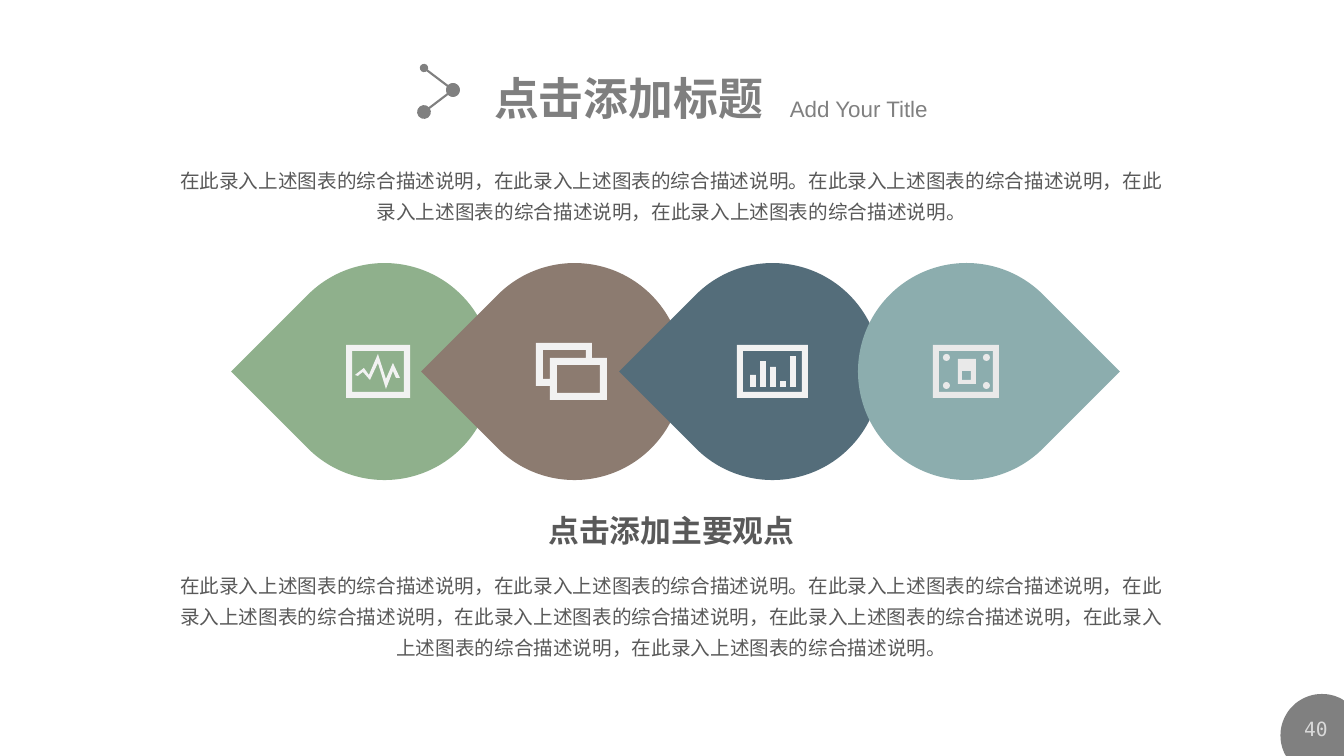
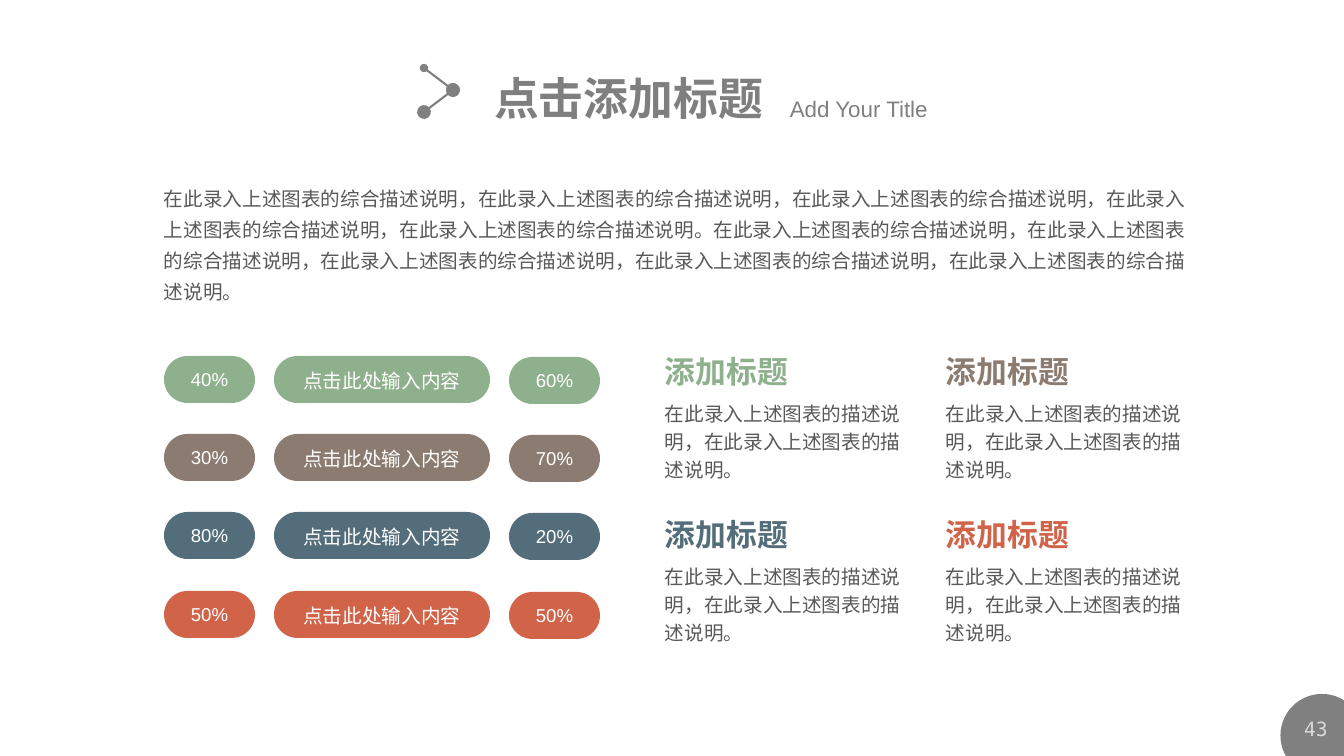
import dataclasses
import itertools
import math

import lxml.etree
import pptx
import pptx.dml.color
import pptx.enum.shapes
import pptx.enum.text
import pptx.oxml.ns
import pptx.util

SCALE = 914400 / 100.8
WIDE, HIGH = 1344, 756
GREEN, BROWN, NAVY, TEAL, RED = "8FB08C", "8C7B70", "546D7A", "8CADAE", "D16349"
GREY, DARK, WHITE, PALE, MIST = "808080", "595959", "FFFFFF", "F2F2F2", "E9E9E9"
HAN = "Noto Sans CJK SC"
PHRASE = "在此录入上述图表的综合描述说明"
BRIEF = "在此录入上述图表的描述说明，在此录入上述图表的描述说明。"

SHAPE = pptx.enum.shapes.MSO_SHAPE
ALIGN = pptx.enum.text.PP_ALIGN
ANCHOR = pptx.enum.text.MSO_ANCHOR
Slide = pptx.slide.Slide
Shape = pptx.shapes.autoshape.Shape
Points = list[tuple[float, float]]


@dataclasses.dataclass(frozen=True)
class Box:
    left: int
    top: int
    width: int
    height: int

    def emu(self) -> list[int]:
        return [px(side) for side in dataclasses.astuple(self)]

    def ring(self) -> Points:
        right, base = self.left + self.width, self.top + self.height
        return [(self.left, self.top), (self.left, base), (right, base), (right, self.top)]


@dataclasses.dataclass(frozen=True)
class Style:
    """Text look; lead is the line pitch in points, or 0 for the font's own."""
    size: float
    color: str
    font: str = HAN
    bold: bool = False
    lead: int = 0
    align: ALIGN = ALIGN.LEFT


@dataclasses.dataclass(frozen=True)
class Drop:
    left: int
    color: str
    turn: int = 225


@dataclasses.dataclass(frozen=True)
class Row:
    color: str
    first: str
    last: str


HEAD = Style(32, "7F7F7F", "Arial", True, 41)
SUB = Style(16, GREY, "Arial")
PAGE = Style(14, "D9D9D9", "DejaVu Sans Mono", align=ALIGN.CENTER)
BODY = Style(14, DARK, lead=22)
MID = dataclasses.replace(BODY, align=ALIGN.CENTER)
NOTE = dataclasses.replace(BODY, lead=20)
POINT = Style(22, DARK, bold=True, lead=28, align=ALIGN.CENTER)
LABEL = Style(14, WHITE, lead=18, align=ALIGN.CENTER)
SHARE = Style(13.3, WHITE, "Arial", align=ALIGN.CENTER)

DROPS = [Drop(276, GREEN), Drop(466, BROWN), Drop(664, NAVY), Drop(858, TEAL, 45)]
ROWS = [Row(GREEN, "40%", "60%"), Row(BROWN, "30%", "70%"),
        Row(NAVY, "80%", "20%"), Row(RED, "50%", "50%")]


def px(length: float) -> int:
    return round(length * SCALE)


def rgb(code: str) -> pptx.dml.color.RGBColor:
    return pptx.dml.color.RGBColor.from_string(code)


def prose(*counts: int) -> str:
    """Sentences made of the given numbers of phrases."""
    return "".join("，".join([PHRASE] * count) + "。" for count in counts)


def write(shape: Shape, text: str, style: Style, anchor: ANCHOR = ANCHOR.TOP,
          wrap: bool = True) -> None:
    frame = shape.text_frame
    frame.word_wrap = wrap
    frame.auto_size = pptx.enum.text.MSO_AUTO_SIZE.NONE
    frame.vertical_anchor = anchor
    para = frame.paragraphs[0]
    para.text = text
    para.alignment = style.align
    if style.lead:
        para.line_spacing = pptx.util.Pt(style.lead)
    font = para.font
    font.size = pptx.util.Pt(style.size)
    font.bold = style.bold
    font.color.rgb = rgb(style.color)
    font.name = style.font
    name = pptx.oxml.ns.qn
    props = para._p.pPr.find(name("a:defRPr"))
    lxml.etree.SubElement(props, name("a:ea"), typeface=HAN)


def label(slide: Slide, box: Box, text: str, style: Style, wrap: bool = True) -> None:
    write(slide.shapes.add_textbox(*box.emu()), text, style, wrap=wrap)


def paint(shape: Shape, color: str) -> Shape:
    shape.shadow.inherit = False
    shape.fill.solid()
    shape.fill.fore_color.rgb = rgb(color)
    shape.line.fill.background()
    return shape


def solid(slide: Slide, kind: SHAPE, box: Box, color: str) -> Shape:
    return paint(slide.shapes.add_shape(kind, *box.emu()), color)


def poly(slide: Slide, color: str, *rings: Points) -> None:
    """One outline; rings after the first are holes."""
    fine = [[(round(x * 10), round(y * 10)) for x, y in ring] for ring in rings]
    pen = slide.shapes.build_freeform(*fine[0][0], scale=SCALE / 10)
    pen.add_line_segments(fine[0][1:])
    for hole in fine[1:]:
        pen.move_to(*hole[0])
        pen.add_line_segments(hole[1:])
    paint(pen.convert_to_shape(), color)


def frame(slide: Slide, box: Box, color: str) -> None:
    edge = 6
    hole = Box(box.left + edge, box.top + edge, box.width - 2 * edge, box.height - 2 * edge)
    poly(slide, color, box.ring(), hole.ring()[::-1])


def link(slide: Slide, start: tuple[int, int], end: tuple[int, int], head: str) -> None:
    """A line with a dot at each end; head is the size of the first."""
    line = slide.shapes.add_connector(
        pptx.enum.shapes.MSO_CONNECTOR.STRAIGHT, *map(px, start + end))
    line.line.color.rgb = rgb(GREY)
    line.line.width = pptx.util.Pt(1.5)
    name = pptx.oxml.ns.qn
    props = line._element.spPr
    for tag, size in (("a:headEnd", head), ("a:tailEnd", "lg")):
        lxml.etree.SubElement(props.find(name("a:ln")), name(tag), type="oval", w=size, len=size)
    lxml.etree.SubElement(props, name("a:effectLst"))


def start(deck: pptx.presentation.Presentation, page: str) -> Slide:
    """A slide with the shared heading, mark and page badge."""
    slide = deck.slides.add_slide(deck.slide_layouts[5])
    title = slide.shapes.title
    title.left, title.top, title.width, title.height = Box(484, 62, 292, 65).emu()
    write(title, "点击添加标题", HEAD, wrap=False)
    label(slide, Box(780, 90, 254, 37), "Add Your Title", SUB)
    link(slide, (424, 68), (453, 90), "med")
    link(slide, (453, 90), (424, 112), "lg")
    turns = [math.radians(angle) for angle in range(0, 360, 3)]
    poly(slide, GREY, [(min(WIDE, 1322 + 41.5 * math.cos(turn)),
                        min(HIGH, 735.5 + 41.5 * math.sin(turn))) for turn in turns])
    label(slide, Box(1291, 712, 50, 31), page, PAGE)
    return slide


def pulse(slide: Slide) -> None:
    poly(slide, PALE, [
        (359, 375), (363, 372), (370, 380), (378, 363), (386, 389),
        (393, 371), (396, 378), (400, 378), (393, 363), (386, 379),
        (378, 354), (369, 375), (364, 368), (355, 375), (358, 376)])
    frame(slide, Box(346, 345, 64, 53), PALE)


def panes(slide: Slide) -> None:
    poly(slide, PALE,
         [(592, 358), (592, 343), (536, 343), (536, 386),
          (550, 386), (550, 400), (607, 400), (607, 358)],
         [(543, 379), (550, 379), (550, 358), (586, 358), (586, 350), (543, 350)],
         Box(557, 365, 43, 28).ring()[::-1])


def bars(slide: Slide) -> None:
    for index, height in enumerate((12, 26, 20, 6, 31)):
        solid(slide, SHAPE.RECTANGLE, Box(750 + 10 * index, 387 - height, 6, height), PALE)
    frame(slide, Box(737, 345, 71, 53), PALE)


def board(slide: Slide) -> None:
    frame(slide, Box(933, 345, 66, 53), MIST)
    for left, top in itertools.product((943, 983), (354, 382)):
        solid(slide, SHAPE.OVAL, Box(left, top, 7, 7), MIST)
    poly(slide, MIST, Box(958, 359, 18, 25).ring(), Box(962, 371, 9, 9).ring()[::-1])


def chain(deck: pptx.presentation.Presentation) -> None:
    slide = start(deck, "40")
    for drop, icon in zip(DROPS, (pulse, panes, bars, board)):
        shape = solid(slide, SHAPE.TEAR, Box(drop.left, 263, 217, 217), drop.color)
        shape.rotation = drop.turn
        icon(slide)
    label(slide, Box(165, 157, 1013, 69), prose(2, 3), MID)
    label(slide, Box(537, 505, 269, 47), "点击添加主要观点", POINT, wrap=False)
    label(slide, Box(165, 562, 1013, 103), prose(2, 6), MID)


def pill(slide: Slide, box: Box, color: str, text: str, style: Style) -> None:
    shape = solid(slide, SHAPE.ROUNDED_RECTANGLE, box, color)
    shape.adjustments[0] = 0.5
    write(shape, text, style, ANCHOR.MIDDLE)


def shares(deck: pptx.presentation.Presentation) -> None:
    slide = start(deck, "43")
    label(slide, Box(154, 175, 1048, 134), prose(5, 5), BODY)
    for index, row in enumerate(ROWS):
        top = 356 + 235 * index // 3
        pill(slide, Box(164, top, 91, 47), row.color, row.first, SHARE)
        pill(slide, Box(274, top, 216, 47), row.color, "点击此处输入内容", LABEL)
        pill(slide, Box(509, top + 1, 91, 47), row.color, row.last, SHARE)
        left, high = 655 + 281 * (index % 2), 346 + 163 * (index // 2)
        tint = dataclasses.replace(POINT, color=row.color, align=ALIGN.LEFT)
        label(slide, Box(left, high, 171, 47), "添加标题", tint)
        label(slide, Box(left, high + 46, 262, 96), BRIEF, NOTE)


def main() -> None:
    deck = pptx.Presentation()
    deck.slide_width, deck.slide_height = px(WIDE), px(HIGH)
    chain(deck)
    shares(deck)
    deck.save("out.pptx")


if __name__ == "__main__":
    main()
